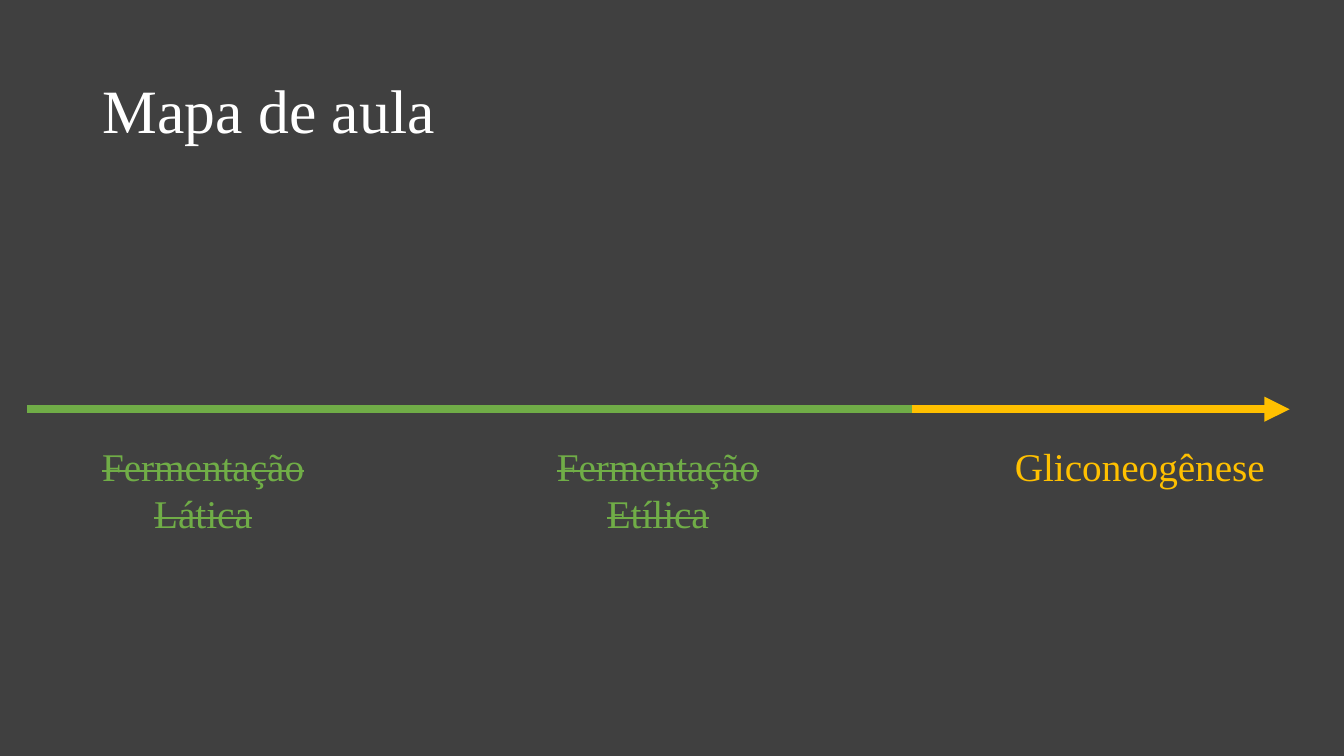
from pptx import Presentation
from pptx.dml.color import RGBColor
from pptx.enum.shapes import MSO_CONNECTOR
from pptx.enum.text import MSO_ANCHOR, PP_ALIGN
from pptx.oxml.ns import qn
from pptx.util import Inches, Pt
from lxml import etree

LINE = MSO_CONNECTOR.STRAIGHT
TOP, MIDDLE = MSO_ANCHOR.TOP, MSO_ANCHOR.MIDDLE
LEFT, CENTER = PP_ALIGN.LEFT, PP_ALIGN.CENTER
GREEN, GOLD, WHITE, GRAY = "70AD47", "FFC000", "FFFFFF", "404040"

deck = Presentation()
deck.slide_width, deck.slide_height = Inches(13.33), Inches(7.5)
slide = deck.slides.add_slide(deck.slide_layouts[6])


def paint(fill, color):
    """Make a fill solid in a hex colour."""
    fill.solid()
    fill.fore_color.rgb = RGBColor.from_string(color)


def write(text, left, top, width, height, color, size=28, align=CENTER,
          anchor=TOP, spacing=None, strike=False):
    box = slide.shapes.add_textbox(Inches(left), Inches(top),
                                   Inches(width), Inches(height))
    frame = box.text_frame
    frame.word_wrap = True
    frame.vertical_anchor = anchor
    frame.text = text
    for para in frame.paragraphs:
        para.alignment = align
        para.line_spacing = spacing
        for run in para.runs:
            run.font.name = "Times New Roman"
            run.font.size = Pt(size)
            paint(run.font.fill, color)
            if strike:
                run.font._element.set("strike", "sngStrike")


paint(slide.background.fill, GRAY)
write("Mapa de aula", 0.92, 0.4, 11.5, 1.45, WHITE, size=44, align=LEFT,
      anchor=MIDDLE, spacing=0.9)

# Timeline: the whole course in gold, the finished part over it in green
start, level = Inches(0.27), Inches(4.06)
for end, color, arrow in [(12.79, GOLD, True), (9.05, GREEN, False)]:
    line = slide.shapes.add_connector(LINE, start, level, Inches(end), level)
    line.line.width = Pt(6)
    paint(line.line.fill, color)
    if arrow:
        tail = etree.SubElement(line.line._get_or_add_ln(), qn("a:tailEnd"))
        tail.set("type", "triangle")
    etree.SubElement(line._element.spPr, qn("a:effectLst"))

topics = [
    ("Fermentação Lática", 0.78, 2.47, 1.04, GREEN, True),
    ("Fermentação\nEtílica", 5.29, 2.47, 1.04, GREEN, True),
    ("Gliconeogênese", 9.94, 2.73, 0.57, GOLD, False),
]
for text, left, width, height, color, done in topics:
    write(text, left, 4.34, width, height, color, strike=done)

deck.save("out.pptx")
